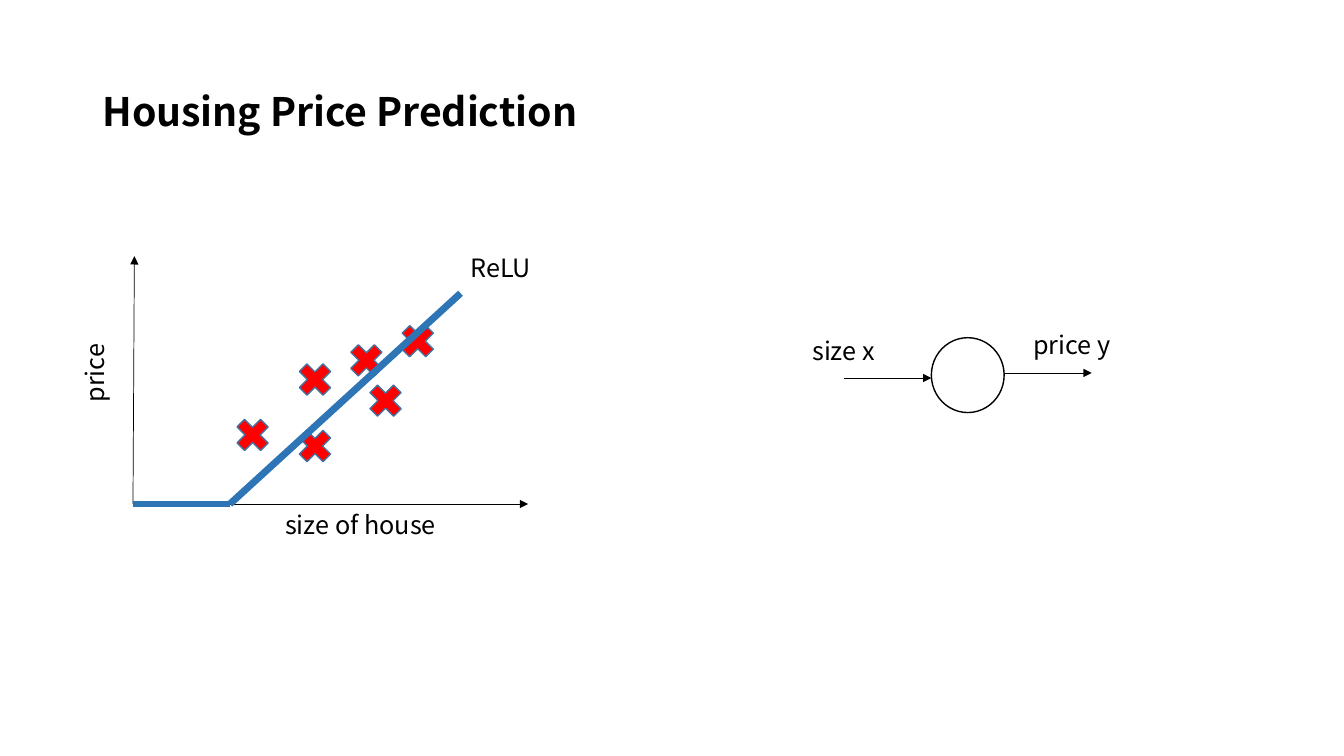
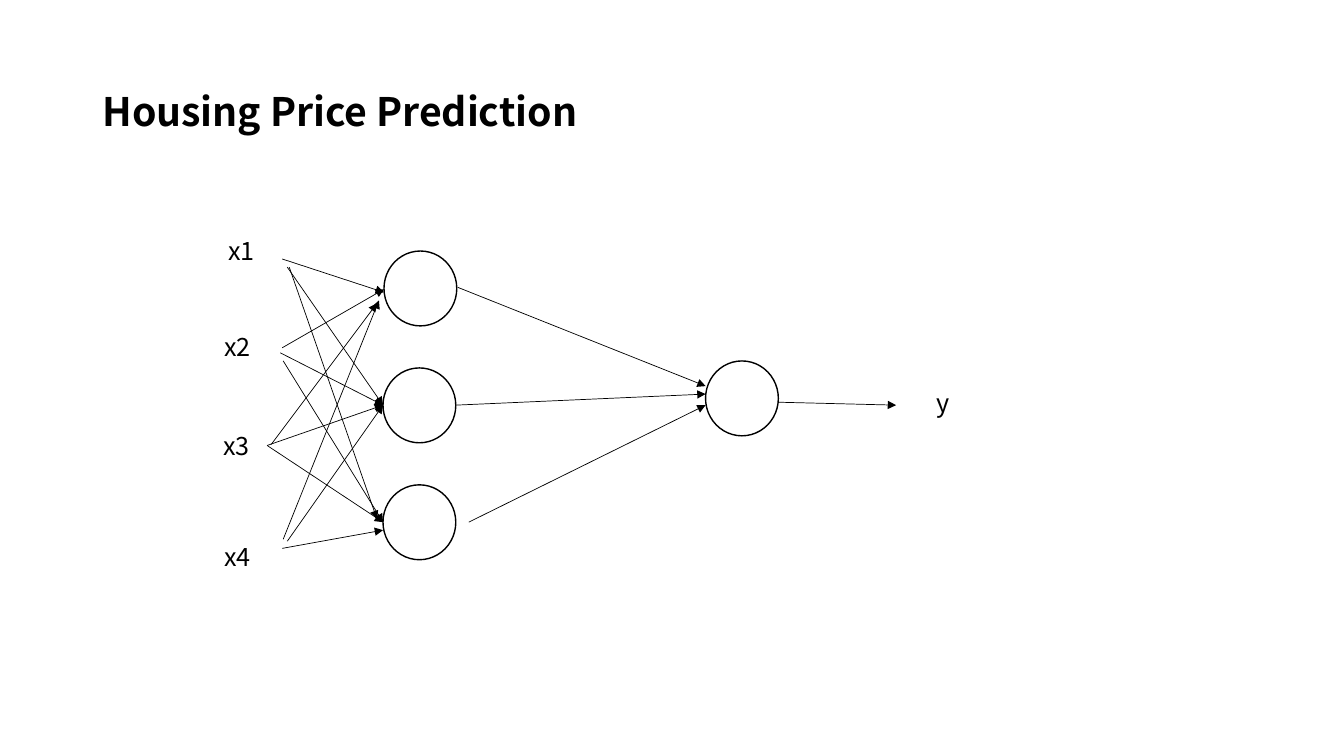
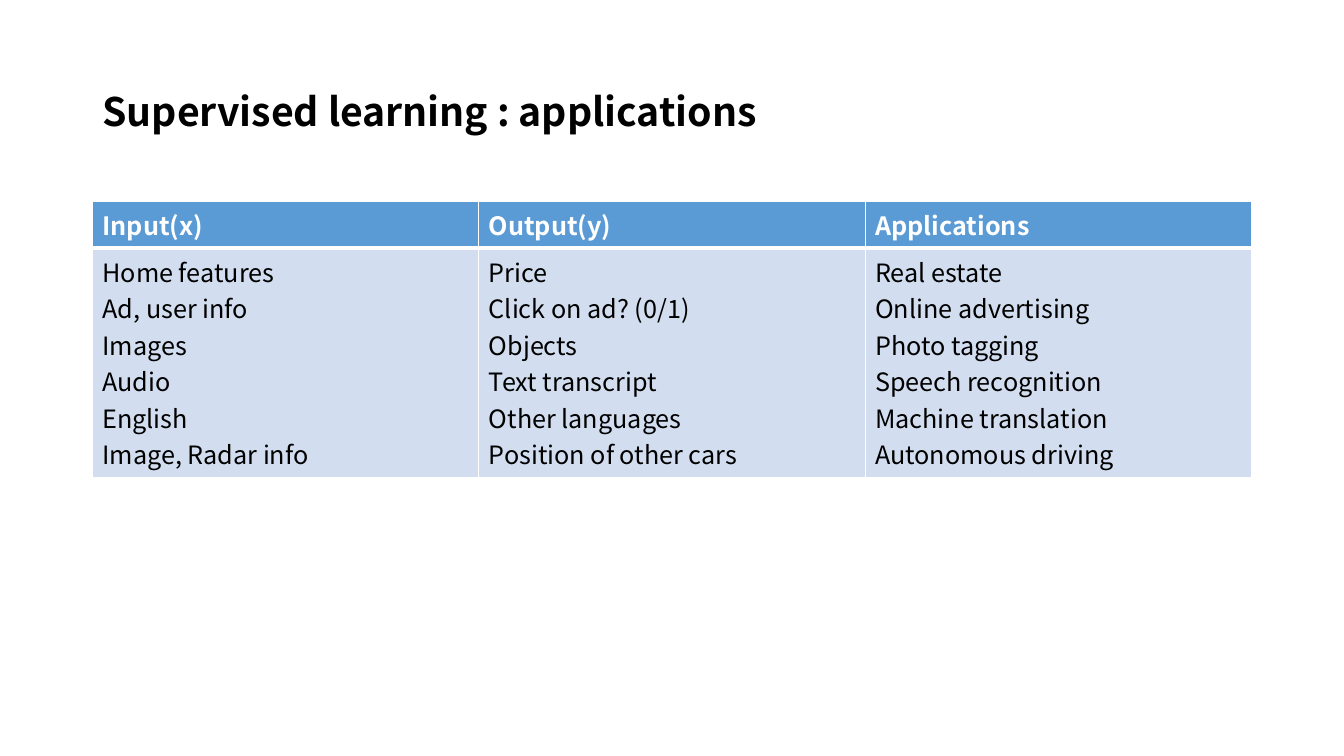
from lxml import etree
from pptx import Presentation
from pptx.dml.color import RGBColor
from pptx.enum.shapes import MSO_CONNECTOR, MSO_SHAPE
from pptx.enum.text import MSO_ANCHOR, MSO_AUTO_SIZE, PP_ALIGN
from pptx.oxml.ns import qn
from pptx.util import Pt

STRAIGHT = MSO_CONNECTOR.STRAIGHT
CIRCLE = MSO_SHAPE.FLOWCHART_CONNECTOR
CROSS = MSO_SHAPE.MATH_MULTIPLY
MIDDLE = MSO_ANCHOR.MIDDLE
GROW = MSO_AUTO_SIZE.SHAPE_TO_FIT_TEXT
LEFT, CENTER = PP_ALIGN.LEFT, PP_ALIGN.CENTER

FONT = "Noto Sans CJK KR"
COLORS = {
    name: RGBColor.from_string(value)
    for name, value in {
        "ink": "000000",
        "paper": "FFFFFF",
        "cross": "FF0000",
        "cross_edge": "43739E",
        "relu": "2E75B6",
        "header": "5B9BD5",
        "body": "D2DEEF",
    }.items()
}
LABEL_HEIGHT = 28.8
LABEL_WIDTH = 78.5
NODE_WIDTH, NODE_HEIGHT = 52, 53.5
CROSS_SIZE = 32.4


def add_line(page, start, end, color="ink", width=0.5, arrow=True):
    line = page.shapes.add_connector(STRAIGHT, *map(Pt, start + end))
    line.line.color.rgb = COLORS[color]
    line.line.width = Pt(width)
    if arrow:
        etree.SubElement(line.line._get_or_add_ln(), qn("a:tailEnd"), type="triangle")
    etree.SubElement(line._element.spPr, qn("a:effectLst"))


def add_label(page, text, left, top, width=LABEL_WIDTH, align=LEFT, rotation=0):
    box = page.shapes.add_textbox(Pt(left), Pt(top), Pt(width), Pt(LABEL_HEIGHT))
    box.rotation = rotation
    box.text_frame.word_wrap = True
    box.text_frame.auto_size = GROW
    para = box.text_frame.paragraphs[0]
    para.text = text
    para.alignment = align
    para.font.name = FONT
    para.font.size = Pt(18)
    para.font.color.rgb = COLORS["ink"]


deck = Presentation()
deck.slide_width, deck.slide_height = Pt(960), Pt(540)
layout = deck.slide_layouts[5]
title = layout.placeholders[0]
title.left, title.top, title.width, title.height = Pt(66), Pt(28.8), Pt(828), Pt(104.4)

pages = []
for heading in (
    "Housing Price Prediction",
    "Housing Price Prediction",
    "Supervised learning : applications",
):
    page = deck.slides.add_slide(layout)
    page.shapes.title.text_frame.vertical_anchor = MIDDLE
    para = page.shapes.title.text_frame.paragraphs[0]
    para.text = heading
    para.alignment = LEFT
    para.line_spacing = 0.9
    para.font.name = FONT
    para.font.size = Pt(28)
    para.font.bold = True
    para.font.color.rgb = COLORS["ink"]
    pages.append(page)
scatter_page, network_page, table_page = pages

for page, left, top in (
    (scatter_page, 665.3, 241.2),
    (network_page, 274.3, 179.3),
    (network_page, 273.6, 262.8),
    (network_page, 273.6, 346.3),
    (network_page, 504, 257.8),
):
    node = page.shapes.add_shape(CIRCLE, Pt(left), Pt(top), Pt(NODE_WIDTH), Pt(NODE_HEIGHT))
    node.shadow.inherit = False
    node.fill.solid()
    node.fill.fore_color.rgb = COLORS["paper"]
    node.line.color.rgb = COLORS["ink"]
    node.line.width = Pt(1)

origin, bend = (95, 360), (164.2, 360)
for start, end in (
    (origin, (377.3, 360)),
    (origin, (96, 183)),
    ((602.6, 270), (665.3, 270)),
    ((717.3, 266.4), (779.8, 266.4)),
):
    add_line(scatter_page, start, end)

for left, top in (
    (164.2, 294.5),
    (208.8, 302.4),
    (208.8, 254.9),
    (259.2, 270),
    (245.5, 241.2),
    (282.2, 227.5),
):
    cross = scatter_page.shapes.add_shape(
        CROSS, Pt(left), Pt(top), Pt(CROSS_SIZE), Pt(CROSS_SIZE)
    )
    cross.shadow.inherit = False
    cross.fill.solid()
    cross.fill.fore_color.rgb = COLORS["cross"]
    cross.line.color.rgb = COLORS["cross_edge"]
    cross.line.width = Pt(1)

for start in ((329, 209.5), origin):
    add_line(scatter_page, start, bend, "relu", 5, arrow=False)

add_label(scatter_page, "size of house", 196.6, 360, 157.7)
add_label(scatter_page, "price", 25.2, 237.6, 85, rotation=270)
add_label(scatter_page, "size x", 573.1, 236.2)
add_label(scatter_page, "price y", 730.8, 231.8)
add_label(scatter_page, "ReLU", 329, 176.4, 110.9)

for text, left, top in (
    ("x1", 133.2, 164.9),
    ("x2", 130.3, 233.3),
    ("x3", 129.6, 303.8),
    ("x4", 130.3, 383),
    ("y", 634.3, 272.9),
):
    add_label(network_page, text, left, top, align=CENTER)

middle_in, bottom_in = (273.6, 289.4), (273.6, 373)
for start, end in (
    ((201.6, 185), (274.3, 208.8)),
    ((205.2, 190.8), middle_in),
    ((206.6, 190.8), (269.3, 370.8)),
    ((201.6, 248.4), (274.3, 206.6)),
    ((200.2, 252), middle_in),
    ((202.3, 257.8), bottom_in),
    ((193.7, 317.5), (269.3, 216.7)),
    ((190.8, 318.2), middle_in),
    ((190.8, 318.2), bottom_in),
    ((202.3, 385.2), (270.7, 214.6)),
    ((205.2, 386.6), middle_in),
    ((201.6, 391.7), (273.6, 378.7)),
    ((326.9, 205.2), (504, 275.8)),
    ((325.4, 289.4), (504, 281.5)),
    ((334.8, 373), (504, 289.4)),
    ((555.8, 287.3), (640.1, 289.4)),
):
    add_line(network_page, start, end)

columns = {
    "Input(x)": [
        "Home features", "Ad, user info", "Images", "Audio", "English", "Image, Radar info",
    ],
    "Output(y)": [
        "Price", "Click on ad? (0/1)", "Objects", "Text transcript", "Other languages",
        "Position of other cars",
    ],
    "Applications": [
        "Real estate", "Online advertising", "Photo tagging", "Speech recognition",
        "Machine translation", "Autonomous driving",
    ],
}
table = table_page.shapes.add_table(
    2, len(columns), Pt(66), Pt(144), Pt(828), Pt(166.3)
).table
table.rows[0].height, table.rows[1].height = Pt(29.5), Pt(136.8)
row_styles = (
    ("header", "paper", True, {"lnL": 1, "lnR": 1, "lnT": 1, "lnB": 3}),
    ("body", "ink", False, {"lnL": 1, "lnR": 1, "lnT": 3, "lnB": 1}),
)
for column, (heading, entries) in enumerate(columns.items()):
    for row, lines in enumerate(([heading], entries)):
        fill, ink, bold, borders = row_styles[row]
        cell = table.cell(row, column)
        for side, width in borders.items():
            border = etree.SubElement(
                cell._tc.get_or_add_tcPr(), qn(f"a:{side}"), w=str(Pt(width))
            )
            paint = etree.SubElement(border, qn("a:solidFill"))
            etree.SubElement(paint, qn("a:srgbClr"), val=str(COLORS["paper"]))
        cell.fill.solid()
        cell.fill.fore_color.rgb = COLORS[fill]
        cell.text = "\n".join(lines)
        for para in cell.text_frame.paragraphs:
            para.font.name = FONT
            para.font.size = Pt(18)
            para.font.bold = bold
            para.font.color.rgb = COLORS[ink]

deck.save("out.pptx")
